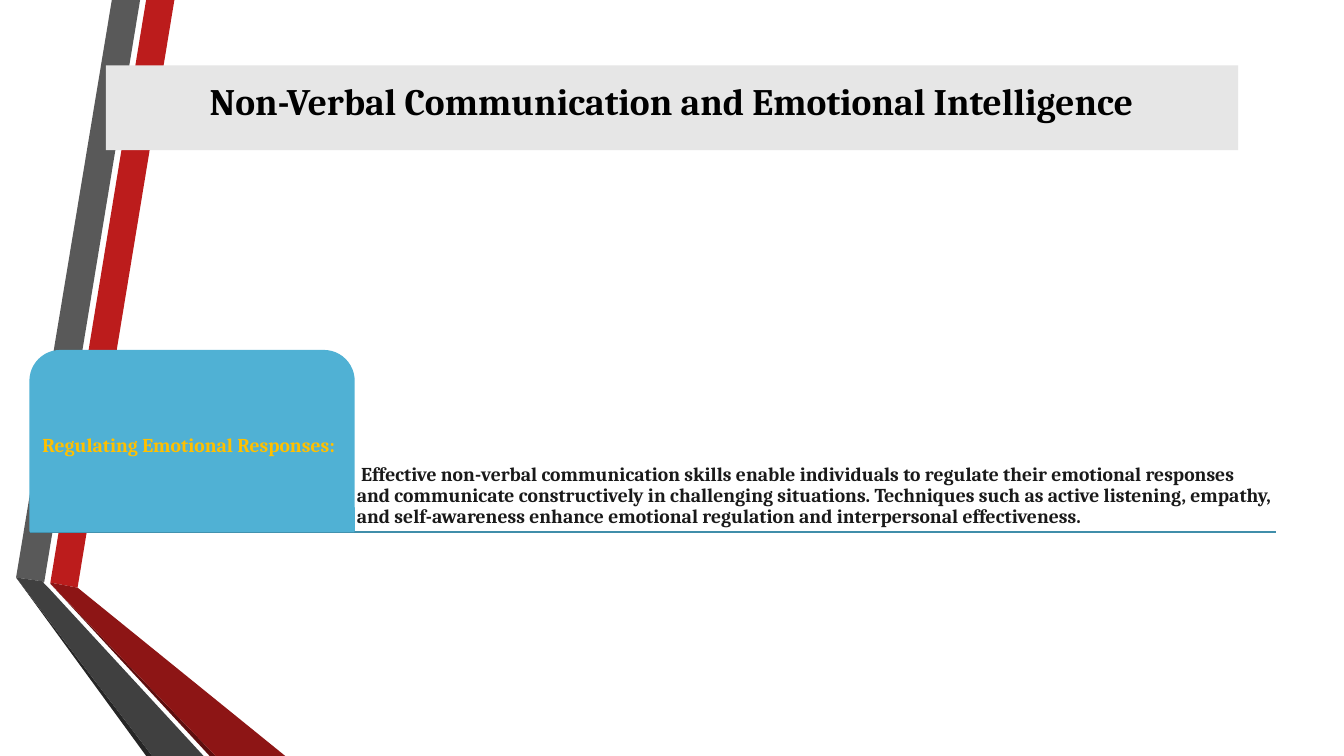
"""Build a slide on regulating emotional responses with a folded ribbon at the left."""
import pptx
import pptx.dml.color
import pptx.enum.shapes
import pptx.enum.text
import pptx.oxml
import pptx.util
from pptx.util import Inches

RED = pptx.dml.color.RGBColor(0xBC, 0x1C, 0x1C)
DARK_RED = pptx.dml.color.RGBColor(0x8D, 0x15, 0x15)
DEEP_RED = pptx.dml.color.RGBColor(0x5E, 0x0E, 0x0E)
GRAY = pptx.dml.color.RGBColor(0x59, 0x59, 0x59)
DARK_GRAY = pptx.dml.color.RGBColor(0x40, 0x40, 0x40)
DEEP_GRAY = pptx.dml.color.RGBColor(0x26, 0x26, 0x26)
LIGHT_GRAY = pptx.dml.color.RGBColor(0xE6, 0xE6, 0xE6)
BLUE = pptx.dml.color.RGBColor(0x50, 0xB1, 0xD4)
RULE_BLUE = pptx.dml.color.RGBColor(0x40, 0x8E, 0xAA)
GOLD = pptx.dml.color.RGBColor(0xFF, 0xC0, 0x00)
INK = pptx.dml.color.RGBColor(0x1A, 0x1A, 0x1A)
BLACK = pptx.dml.color.RGBColor(0x00, 0x00, 0x00)

ANCHOR = pptx.enum.text.MSO_ANCHOR
ALIGN = pptx.enum.text.PP_ALIGN
SHAPE = pptx.enum.shapes.MSO_SHAPE


def paint(shape, color):
    shape.shadow.inherit = False
    shape.fill.solid()
    shape.fill.fore_color.rgb = color
    shape.line.fill.background()


def write(shape, text, size, color, inset, anchor, paragraph_format):
    frame = shape.text_frame
    frame_format = {"word_wrap": True, "vertical_anchor": anchor}
    for side in ("left", "top", "right", "bottom"):
        frame_format[f"margin_{side}"] = Inches(inset)
    for name, value in frame_format.items():
        setattr(frame, name, value)
    paragraph = frame.paragraphs[0]
    for name, value in paragraph_format.items():
        setattr(paragraph, name, value)
    run = paragraph.add_run()
    run.text = text
    font_format = {"name": "Cambria", "size": pptx.util.Pt(size), "bold": True}
    for name, value in font_format.items():
        setattr(run.font, name, value)
    run.font.color.rgb = color


presentation = pptx.Presentation()
presentation.slide_width = Inches(13.33)
presentation.slide_height = Inches(7.5)
slide = presentation.slides.add_slide(presentation.slide_layouts[6])
shapes = slide.shapes

ribbon_parts = [
    (RED, [(0.5, 5.78), (0.77, 5.83), (1.73, 0), (1.45, 0)]),
    (GRAY, [(1.39, 0), (1.11, 0), (0.16, 5.73), (0.44, 5.77)]),
    (DEEP_GRAY, [(0.16, 5.73), (1.45, 7.5), (1.51, 7.5)]),
    (DEEP_RED, [(0.5, 5.79), (2.08, 7.5), (2.14, 7.5)]),
    (DARK_RED, [(0.5, 5.79), (2.14, 7.5), (2.83, 7.5), (0.77, 5.83), (0.5, 5.78)]),
    (DARK_GRAY, [(2.02, 7.5), (0.48, 5.83), (0.43, 5.78), (0.44, 5.77),
                 (0.16, 5.73), (1.51, 7.5)]),
]
for color, points in ribbon_parts:
    corners = [(Inches(x), Inches(y)) for x, y in points]
    builder = shapes.build_freeform(*corners[0], scale=1.0)
    builder.add_line_segments(corners[1:], close=True)
    paint(builder.convert_to_shape(), color)

rule = shapes.add_connector(
    pptx.enum.shapes.MSO_CONNECTOR.STRAIGHT,
    Inches(0.3), Inches(5.28), Inches(12.66), Inches(5.28))
rule.line.color.rgb = RULE_BLUE
rule.line.width = pptx.util.Pt(1.25)
rule._element.spPr.append(pptx.oxml.parse_xml(
    '<a:effectLst xmlns:a="http://schemas.openxmlformats.org/drawingml/2006/main"/>'))

body_format = {"alignment": ALIGN.LEFT, "line_spacing": 0.9}
description = shapes.add_textbox(Inches(3.51), Inches(3.48), Inches(9.14), Inches(1.79))
write(description,
      " Effective non-verbal communication skills enable individuals to regulate their "
      "emotional responses and communicate constructively in challenging situations. "
      "Techniques such as active listening, empathy, and self-awareness enhance "
      "emotional regulation and interpersonal effectiveness.",
      14, INK, 0.03, ANCHOR.BOTTOM, body_format)

tab = shapes.add_shape(SHAPE.ROUND_2_SAME_RECTANGLE,
                       Inches(0.3), Inches(3.48), Inches(3.21), Inches(1.79))
tab.adjustments[0] = 0.167
tab.adjustments[1] = 0
paint(tab, BLUE)
tab.line.color.rgb = BLUE
tab.line.width = pptx.util.Pt(1.25)

label = shapes.add_textbox(Inches(0.39), Inches(3.57), Inches(3.04), Inches(1.71))
write(label, "Regulating Emotional Responses:", 14, GOLD, 0.03, ANCHOR.MIDDLE, body_format)

title = shapes.add_shape(SHAPE.RECTANGLE,
                         Inches(1.05), Inches(0.65), Inches(11.23), Inches(0.84))
paint(title, LIGHT_GRAY)
write(title, "Non-Verbal Communication and Emotional Intelligence",
      26.7, BLACK, 0.13, ANCHOR.TOP, {"alignment": ALIGN.CENTER})

presentation.save("out.pptx")
